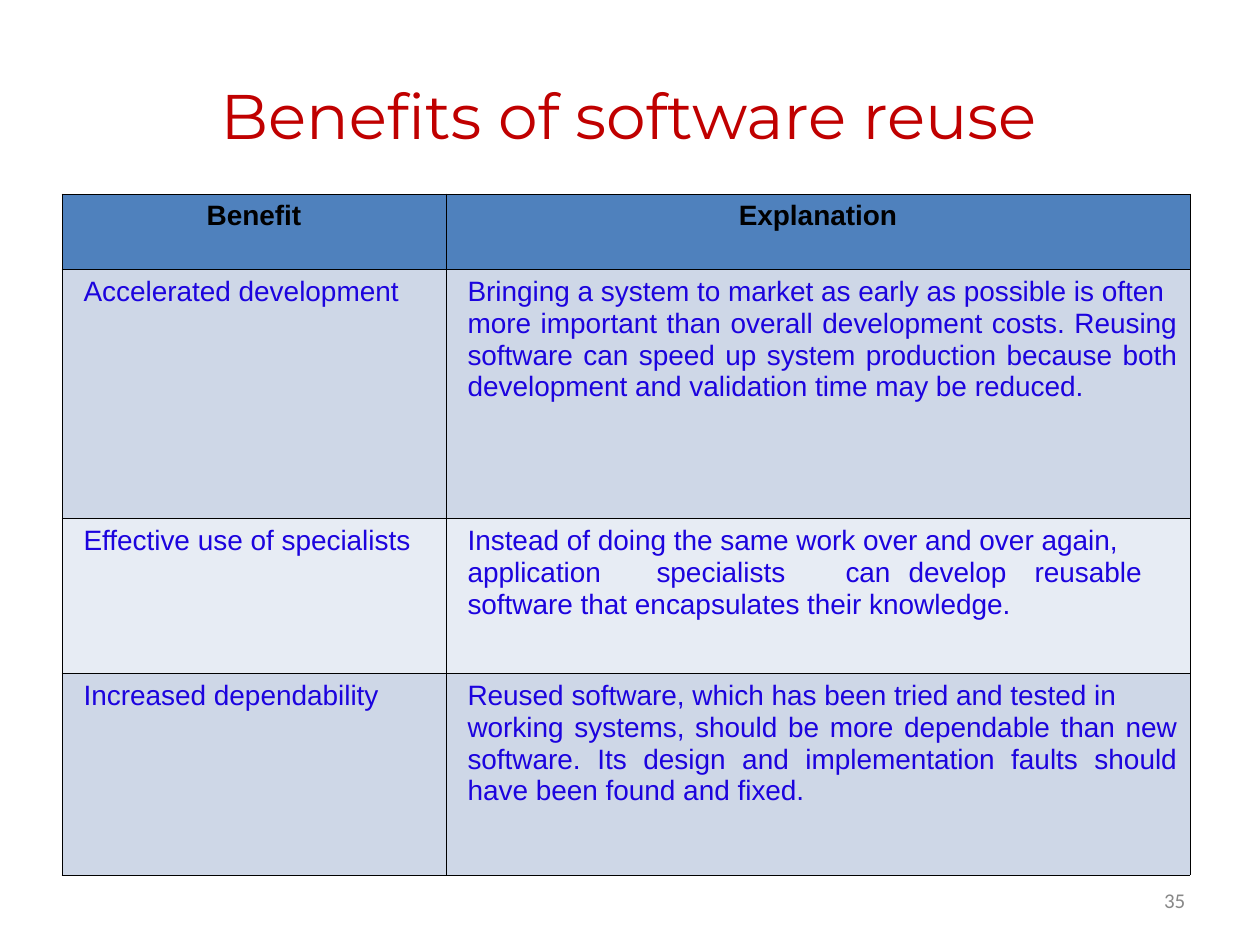
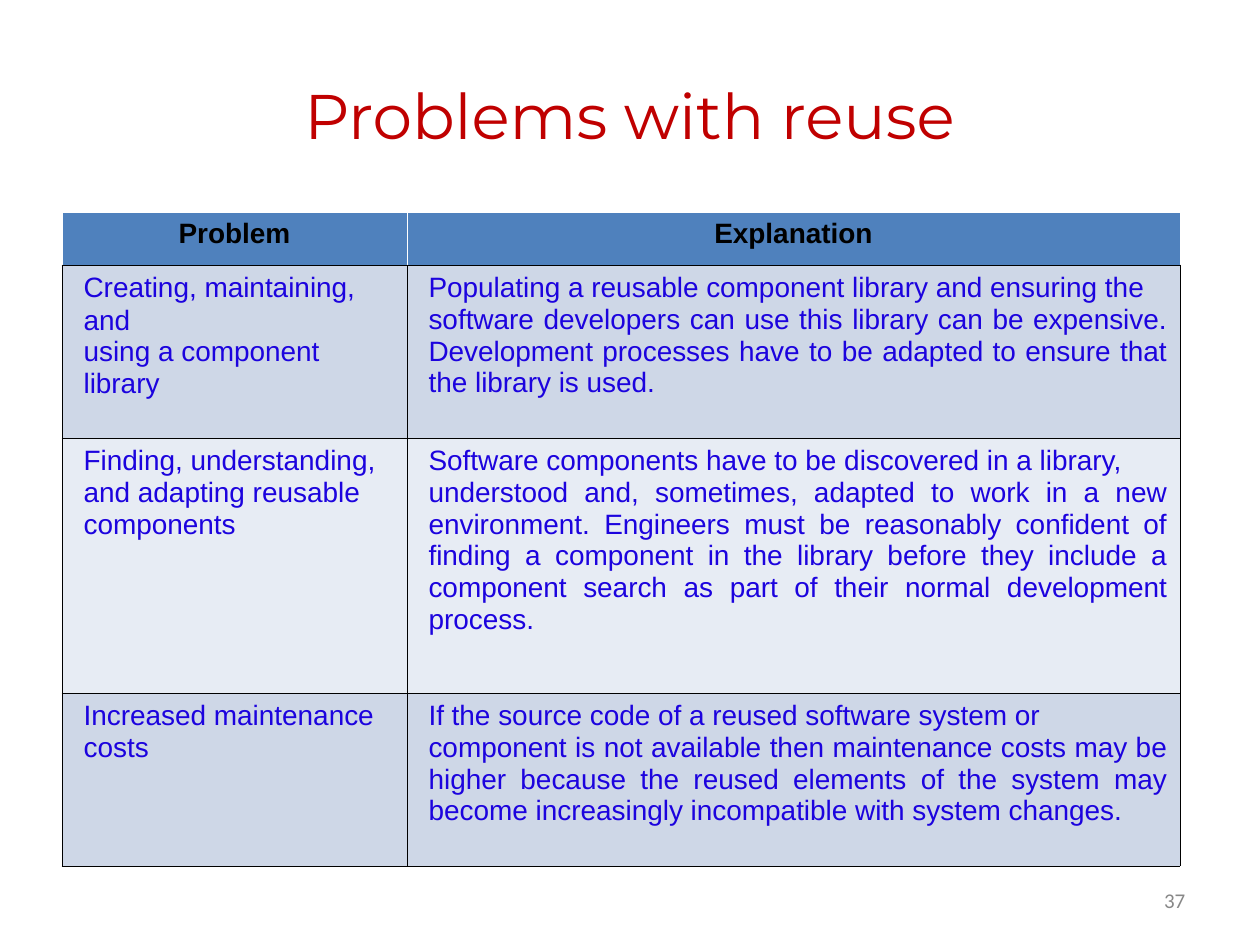
from lxml import etree
from pptx import Presentation, util as u
from pptx.dml.color import RGBColor
from pptx.enum import text
from pptx.oxml import parse_xml
from pptx.oxml.ns import nsdecls, qn

PX = u.Inches(1) / 126
INDENT = 9
C = {"title": "C00000", "head": "4F81BD", "odd": "CED7E7", "even": "E7ECF4",
     "body": "1C03DE", "number": "888888", "black": "000000", "white": "FFFFFF"}
LEFT, CENTER, JUSTIFY = (text.PP_ALIGN.LEFT, text.PP_ALIGN.CENTER,
                         text.PP_ALIGN.JUSTIFY)


def put_text(tf, content, size=16, font="Arial", color="body", bold=False,
             align=LEFT, indent=0, first=None, rest=None):
    """Write one paragraph per line; first and rest are their line spacings."""
    tf.word_wrap = True
    for i, line in enumerate(content.split("\n")):
        p = tf.add_paragraph() if i else tf.paragraphs[0]
        pPr = p._p.get_or_add_pPr()
        pPr.set("marL", str(int(indent * PX)))
        pPr.set("indent", "0")
        if "\t" in line:
            tabs = etree.SubElement(pPr, qn("a:tabLst"))
            for inch in range(1, 8):
                etree.SubElement(tabs, qn("a:tab"), pos=str(u.Inches(inch)), algn="l")
        p.alignment = align
        p.line_spacing = rest if i else first
        r = p.add_run()
        r.text = line
        r.font.size, r.font.name, r.font.bold = u.Pt(size), font, bold
        r.font.color.rgb = RGBColor.from_string(C[color])


def format_cell(cell, fill, edge):
    """Fill the cell and draw its four edges; the bottom one is always black."""
    tcPr = cell._tc.get_or_add_tcPr()
    for side in "LRTB":
        color = C["black" if side == "B" else edge]
        tcPr.append(parse_xml(
            f'<a:ln{side} {nsdecls("a")} w="{u.Pt(0.45)}"><a:solidFill>'
            f'<a:srgbClr val="{color}"/></a:solidFill></a:ln{side}>'))
    cell.fill.solid()
    cell.fill.fore_color.rgb = RGBColor.from_string(C[fill])


slides = [
    dict(title="Benefits of software reuse", title_x=171, title_w=915, number="35",
         top=194, cols=[384, 744], heights=[75, 249, 155, 202], head_edge="black",
         rows=[
             ("Benefit", "Explanation", CENTER),
             ("Accelerated development",
              "Bringing a system to market as early as possible is often\n"
              "more important than overall development costs. Reusing software can "
              "speed up system production because both development and validation "
              "time may be reduced.", JUSTIFY),
             ("Effective use of specialists",
              "Instead of doing the same work over and over again,\n"
              "application\tspecialists\tcan\tdevelop\treusable\tsoftware "
              "that encapsulates their knowledge.", LEFT),
             ("Increased dependability",
              "Reused software, which has been tried and tested in\n"
              "working systems, should be more dependable than new software. Its "
              "design and implementation faults should have been found and fixed.",
              JUSTIFY),
         ]),
    dict(title="Problems with reuse", title_x=275, title_w=709, number="37",
         top=212, cols=[345, 773], heights=[53, 173, 255, 173], head_edge="white",
         rows=[
             ("Problem", "Explanation", CENTER),
             ("Creating, maintaining, and\nusing a component library",
              "Populating a reusable component library and ensuring the\n"
              "software developers can use this library can be expensive. "
              "Development processes have to be adapted to ensure that the library "
              "is used.", JUSTIFY),
             ("Finding, understanding,\nand adapting reusable components",
              "Software components have to be discovered in a library,\n"
              "understood and, sometimes, adapted to work in a new environment. "
              "Engineers must be reasonably confident of finding a component in the "
              "library before they include a component search as part of their "
              "normal development process.", JUSTIFY),
             ("Increased maintenance\ncosts",
              "If the source code of a reused software system or\n"
              "component is not available then maintenance costs may be higher "
              "because the reused elements of the system may become increasingly "
              "incompatible with system changes.", JUSTIFY),
         ]),
]

prs = Presentation()
prs.slide_width, prs.slide_height = int(1260 * PX), int(945 * PX)

for data in slides:
    s = prs.slides.add_slide(prs.slide_layouts[5])

    title = s.shapes.title
    title.left, title.top = int(data["title_x"] * PX), int(74 * PX)
    title.width, title.height = int(data["title_w"] * PX), int(80 * PX)
    number = s.shapes.add_textbox(*(int(v * PX) for v in (1159, 891, 32, 22)))
    for sp in (title, number):
        tf = sp.text_frame
        tf.margin_left = tf.margin_right = tf.margin_top = tf.margin_bottom = 0
        tf.vertical_anchor = text.MSO_ANCHOR.TOP
        tf.auto_size = text.MSO_AUTO_SIZE.NONE
    title.text_frame.margin_top = int(3 * PX)
    put_text(title.text_frame, data["title"], size=36, font="Montserrat",
             color="title", align=CENTER)
    put_text(number.text_frame, data["number"], size=12, font="Calibri",
             color="number", indent=5, first=u.Pt(12.4))

    box = (62, data["top"], sum(data["cols"]), sum(data["heights"]))
    table = s.shapes.add_table(len(data["rows"]), len(data["cols"]),
                               *(int(v * PX) for v in box)).table
    table.first_row = table.horz_banding = False
    for col, width in zip(table.columns, data["cols"]):
        col.width = int(width * PX)

    for i, (name, explanation, align) in enumerate(data["rows"]):
        table.rows[i].height = int(data["heights"][i] * PX)
        name_cell, explanation_cell = table.rows[i].cells
        if i == 0:
            fill, edge = "head", data["head_edge"]
            fmt = dict(color="black", bold=True)
        else:
            fill, edge = ("odd" if i % 2 else "even"), "black"
            fmt = dict(indent=INDENT, first=u.Pt(18.5), rest=1.02)
        for cell in (name_cell, explanation_cell):
            format_cell(cell, fill, edge)
        put_text(name_cell.text_frame, name, align=LEFT if i else CENTER, **fmt)
        put_text(explanation_cell.text_frame, explanation, align=align, **fmt)

prs.save("out.pptx")
